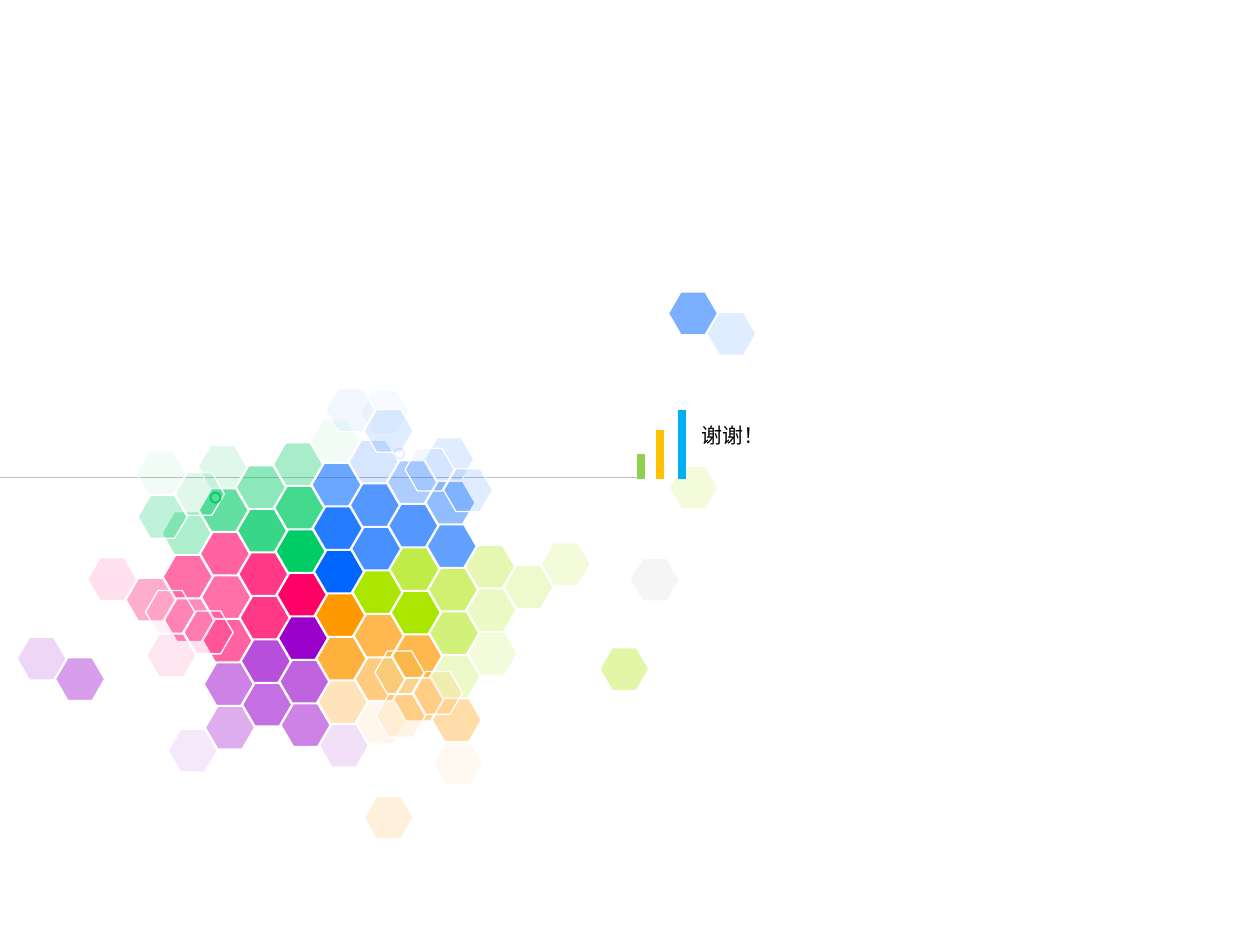
import pptx
import pptx.dml.color
import pptx.enum.shapes
import pptx.enum.text
import pptx.oxml.ns
import pptx.util
from lxml import etree

Inches = pptx.util.Inches
Pt = pptx.util.Pt
SHAPES = pptx.enum.shapes.MSO_SHAPE

COLOURS = {
    "blue": "0066FF", "green": "00CC66", "lime": "AAE600", "olive": "99CC00",
    "orange": "FF9900", "pink": "FF0066", "purple": "9900CC", "grey": "BFBFBF",
    "white": "FFFFFF", "black": "000000",
    "bar blue": "00B0F0", "bar amber": "FFC000", "bar green": "92D050",
}
CLOSING = "谢谢！"
BASELINE = (-0.11, 3.79, 5.09, 3.79)
BAR_BOTTOM = 3.8
BARS = [(5.41, 3.25, "bar blue"), (5.24, 3.41, "bar amber"), (5.09, 3.6, "bar green")]

HEXAGON_WIDTH, HEXAGON_HEIGHT = 0.39, 0.34
COLUMN_PITCH = 0.3
COLUMN_RISE = 0.01
HALF_ROW_PITCH = 0.69 / 4
HALF_ROW_LEAN = 0.01 / 2
HONEYCOMB_CENTRE = (2.2, 4.55)

# column, first half row, then colours with their opacities going down
HONEYCOMB = [
    (-5, -1, [("pink", [12])]),
    (-4, 0, [("pink", [32])]),
    (-3, -3, [("green", [32]), ("pink", [56, 45])]),
    (-3, 7, [("purple", [9])]),
    (-2, -6, [("green", [12, 61]), ("pink", [61, 56, 61]), ("purple", [49, 32])]),
    (-1, -5, [("green", [45, 78]), ("pink", [78, 78]), ("purple", [69, 56])]),
    (0, -6, [("green", [34, 74, 100]), ("pink", [100]), ("purple", [100, 61, 49])]),
    (1, -7, [("green", [5]), ("blue", [58, 85, 100]),
             ("orange", [100, 76, 27]), ("purple", [12])]),
    (2, -6, [("blue", [16, 67, 72]), ("lime", [100]), ("orange", [69, 50, 7])]),
    (3, -5, [("blue", [32, 67]), ("lime", [72, 100]), ("orange", [69, 41])]),
    (4, -6, [("blue", [12, 43, 61]), ("lime", [56, 52, 21]), ("orange", [34, 5])]),
    (5, -1, [("lime", [30, 23, 14])]),
    (6, 0, [("lime", [20])]),
    (7, -1, [("lime", [14])]),
]

PLACES = {"anchor": (0, 0), "lower left": (-1, 1), "upper left": (-1, -1)}
BACK_PATCHES = [((5.31, 3.7), {"anchor": ("lime", 14)})]
UPPER_PATCHES = [((5.61, 2.48), {"anchor": ("blue", 12), "upper left": ("blue", 52)})]
LOOSE_PATCHES = [
    ((0.44, 5.22), {"anchor": ("purple", 38), "upper left": ("purple", 16)}),
    ((2.89, 6.32), {"anchor": ("orange", 14)}),
    ((2.86, 3.1), {"anchor": ("blue", 3)}),
    ((1.39, 3.75), {"anchor": ("green", 12), "lower left": ("green", 25),
                    "upper left": ("green", 5)}),
    ((2.89, 3.25), {"anchor": ("blue", 12), "upper left": ("blue", 5)}),
    ((3.52, 3.72), {"anchor": ("blue", 12), "upper left": ("blue", 5)}),
    ((3.28, 5.33), {"anchor": ("orange", 12), "lower left": ("orange", 10),
                    "upper left": ("olive", 5)}),
    ((1.46, 4.85), {"anchor": ("pink", 12), "lower left": ("pink", 10),
                    "upper left": ("pink", 5)}),
]
FRONT_PATCHES = [
    ((5, 4.43), {"anchor": ("grey", 14)}),
    ((4.76, 5.14), {"anchor": ("lime", 34)}),
]
RING_SIZE = 0.08
RINGS = [(3.13, 3.56, "blue", 10), (1.67, 3.91, "green", 100)]


def paint(fill, colour, opacity=100):
    fill.solid()
    fill.fore_color.rgb = pptx.dml.color.RGBColor.from_string(COLOURS[colour])
    if opacity < 100:
        solid = fill._xPr.find(pptx.oxml.ns.qn("a:solidFill"))
        etree.SubElement(solid[0], pptx.oxml.ns.qn("a:alpha"), val=str(opacity * 1000))


def add_hexagon(shapes, origin, column, half_row, colour, opacity):
    left = origin[0] + column * COLUMN_PITCH + half_row * HALF_ROW_LEAN
    top = origin[1] - column * COLUMN_RISE + half_row * HALF_ROW_PITCH
    hexagon = shapes.add_shape(
        SHAPES.HEXAGON, Inches(left), Inches(top),
        Inches(HEXAGON_WIDTH), Inches(HEXAGON_HEIGHT))
    hexagon.shadow.inherit = False
    hexagon.adjustments[0] = 0.29
    paint(hexagon.fill, colour, opacity)
    paint(hexagon.line.fill, "white")
    hexagon.line.width = Pt(0.75)


def add_honeycomb(shapes):
    for column, half_row, bands in HONEYCOMB:
        for colour, opacities in bands:
            for opacity in opacities:
                add_hexagon(shapes, HONEYCOMB_CENTRE, column, half_row, colour, opacity)
                half_row += 2


def add_patches(shapes, patches):
    for origin, members in patches:
        for place, (colour, opacity) in members.items():
            add_hexagon(shapes, origin, *PLACES[place], colour, opacity)


def add_rings(shapes):
    for left, top, colour, opacity in RINGS:
        ring = shapes.add_shape(
            SHAPES.OVAL, Inches(left), Inches(top), Inches(RING_SIZE), Inches(RING_SIZE))
        ring.shadow.inherit = False
        ring.fill.background()
        paint(ring.line.fill, colour, opacity)
        ring.line.width = Pt(1)


def add_line(shapes, ends, colour, weight):
    line = shapes.add_connector(
        pptx.enum.shapes.MSO_CONNECTOR.STRAIGHT, *[Inches(value) for value in ends])
    line.line.width = Pt(weight)
    paint(line.line.fill, colour)
    etree.SubElement(line._element.spPr, pptx.oxml.ns.qn("a:effectLst"))


def fill_title(title):
    title.left, title.top = Inches(5.47), Inches(3.2)
    title.width, title.height = Inches(4.02), Inches(0.4)
    frame = title.text_frame
    frame.word_wrap = True
    frame.auto_size = pptx.enum.text.MSO_AUTO_SIZE.SHAPE_TO_FIT_TEXT
    frame.vertical_anchor = pptx.enum.text.MSO_ANCHOR.TOP
    paragraph = frame.paragraphs[0]
    paragraph.alignment = pptx.enum.text.PP_ALIGN.LEFT
    paragraph.line_spacing = 1.5
    run = paragraph.add_run()
    run.text = CLOSING
    run.font.size = Pt(12)
    run.font.name = "Arial"
    paint(run.font.fill, "black")


def main():
    presentation = pptx.Presentation()
    presentation.slide_width, presentation.slide_height = Inches(10), Inches(7.5)
    slide = presentation.slides.add_slide(presentation.slide_layouts[5])
    shapes = slide.shapes
    paint(slide.background.fill, "white")
    add_line(shapes, BASELINE, "grey", 0.75)
    add_patches(shapes, BACK_PATCHES)
    fill_title(shapes.title)
    bars = shapes.add_group_shape().shapes
    for x, top, colour in BARS:
        add_line(bars, (x, top, x, BAR_BOTTOM), colour, 4.5)
    add_patches(shapes.add_group_shape().shapes, UPPER_PATCHES)
    cluster = shapes.add_group_shape().shapes
    add_honeycomb(cluster)
    add_patches(cluster, LOOSE_PATCHES)
    add_rings(cluster)
    add_patches(shapes, FRONT_PATCHES)
    presentation.save("out.pptx")


if __name__ == "__main__":
    main()
